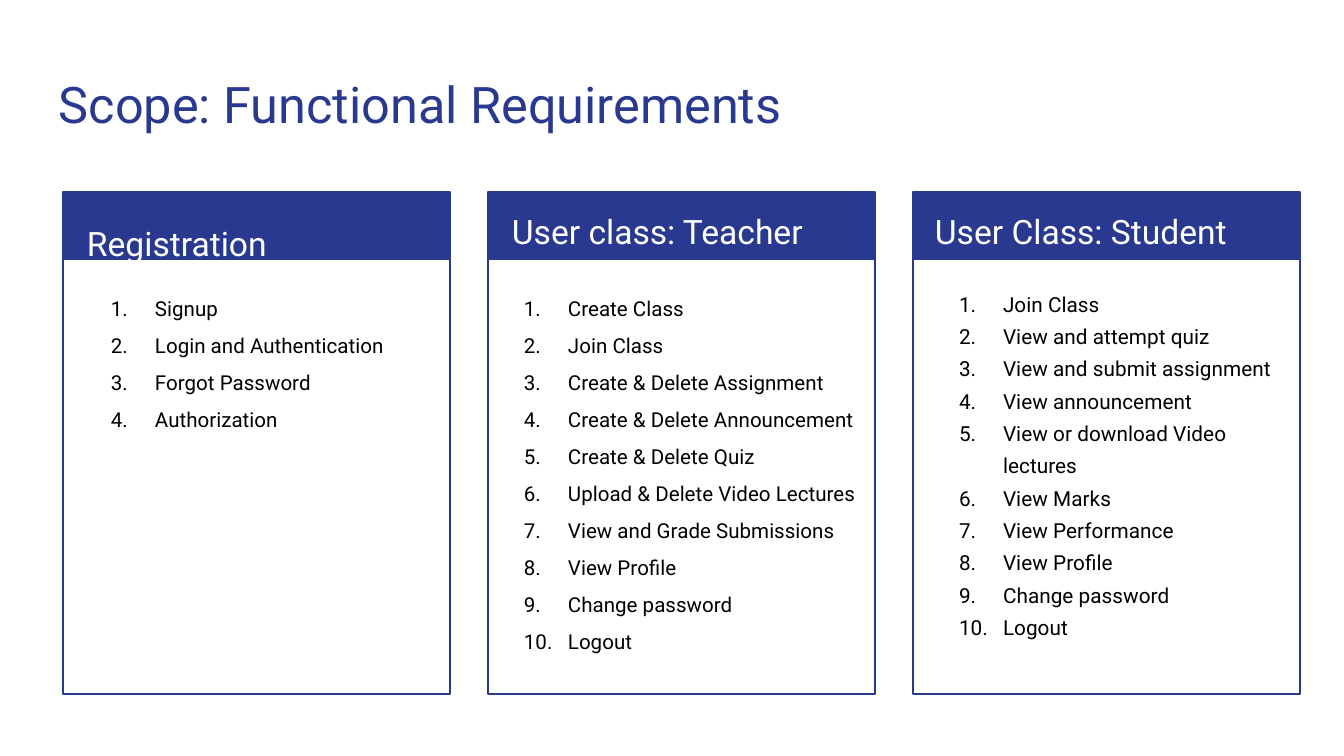
from lxml.etree import SubElement
from pptx import Presentation
from pptx.dml.color import RGBColor
from pptx.enum.shapes import MSO_SHAPE as Shape
from pptx.enum.text import MSO_ANCHOR as Anchor, PP_ALIGN as Align
from pptx.oxml.ns import qn
from pptx.util import Emu, Pt

EMU_PER_PX = 914400 / 134.4
FONT = "Roboto"
COLORS = {"navy": "2A3990", "white": "FFFFFF", "black": "000000"}

# Card grid
CARD_LEFT, CARD_TOP, CARD_PITCH = 63, 192, 425
CARD_WIDTH, CARD_HEIGHT, HEADER_HEIGHT = 387, 502, 68
HEADING_WIDTH, HEADING_HEIGHT = 367, 67
LIST_TOP = 271
INSET, LIST_INDENT, NUMBER_HANG = 13, 67, 44

CARDS = [
    {
        "heading": "Registration", "heading_left": 74,
        "heading_spacing": 1.44, "align": Align.JUSTIFY,
        "list_box": (75, LIST_TOP, 364, 411), "size": 11, "spacing": 1.5,
        "items": ["Signup", "Login and Authentication", "Forgot Password",
                  "Authorization"],
    },
    {
        "heading": "User class: Teacher", "heading_left": 499,
        "heading_spacing": 1.15, "align": Align.LEFT,
        "list_box": (488, LIST_TOP, 403, 434), "size": 11, "spacing": 1.5,
        "items": ["Create Class", "Join Class", "Create & Delete Assignment",
                  "Create & Delete Announcement", "Create & Delete Quiz",
                  "Upload & Delete Video Lectures",
                  "View and Grade Submissions", "View Profile",
                  "Change password", "Logout"],
    },
    {
        "heading": "User Class: Student", "heading_left": 922,
        "heading_spacing": 1.15, "align": Align.LEFT,
        "list_box": (923, LIST_TOP, 395, 411), "size": 11.1, "spacing": 1.3,
        "items": ["Join Class", "View and attempt quiz",
                  "View and submit assignment", "View announcement",
                  "View or download Video lectures", "View Marks",
                  "View Performance", "View Profile", "Change password",
                  "Logout"],
    },
]


def px(length):
    return Emu(round(length * EMU_PER_PX))


def color(name):
    return RGBColor.from_string(COLORS[name])


def add_rectangle(slide, box, fill=None, line=None):
    shape = slide.shapes.add_shape(Shape.RECTANGLE, *map(px, box))
    shape.shadow.inherit = False
    if fill:
        shape.fill.solid()
        shape.fill.fore_color.rgb = color(fill)
    else:
        shape.fill.background()
    if line:
        shape.line.color.rgb = color(line)
        shape.line.width = Pt(0.75)
    else:
        shape.line.fill.background()


def number_paragraph(paragraph):
    properties = paragraph._p.get_or_add_pPr()
    properties.set("marL", str(px(LIST_INDENT)))
    properties.set("indent", str(-px(NUMBER_HANG)))
    bullet_color = SubElement(properties, qn("a:buClr"))
    SubElement(bullet_color, qn("a:srgbClr"), val=COLORS["black"])
    SubElement(properties, qn("a:buFont"), typeface=FONT)
    SubElement(properties, qn("a:buAutoNum"), type="arabicPeriod")


def add_text(slide, box, lines, size, color_name, spacing=1.0,
             align=Align.LEFT, numbered=False):
    frame = slide.shapes.add_textbox(*map(px, box)).text_frame
    frame.word_wrap = True
    frame.vertical_anchor = Anchor.TOP
    frame.margin_left = frame.margin_right = px(INSET)
    frame.margin_top = frame.margin_bottom = px(INSET)
    for index, line in enumerate(lines):
        paragraph = frame.add_paragraph() if index else frame.paragraphs[0]
        paragraph.alignment = align
        paragraph.line_spacing = spacing
        if numbered:
            number_paragraph(paragraph)
        run = paragraph.add_run()
        run.text = line
        run.font.name = FONT
        run.font.size = Pt(size)
        run.font.color.rgb = color(color_name)


def add_card(slide, left, card):
    # Header bar and outline
    add_rectangle(slide, (left, CARD_TOP, CARD_WIDTH, HEADER_HEIGHT),
                  fill="navy")
    add_rectangle(slide, (left, CARD_TOP, CARD_WIDTH, CARD_HEIGHT),
                  line="navy")
    # Heading and numbered list
    heading_box = (card["heading_left"], CARD_TOP,
                   HEADING_WIDTH, HEADING_HEIGHT)
    add_text(slide, heading_box, [card["heading"]], 18, "white",
             card["heading_spacing"], card["align"])
    add_text(slide, card["list_box"], card["items"], card["size"], "black",
             card["spacing"], numbered=True)


def main():
    presentation = Presentation()
    presentation.slide_width = px(1344)
    presentation.slide_height = px(756)
    slide = presentation.slides.add_slide(presentation.slide_layouts[6])

    # Title
    add_text(slide, (46, 60, 1253, 89), ["Scope: Functional Requirements"],
             27, "navy")

    # Requirement cards
    for index, card in enumerate(CARDS):
        add_card(slide, CARD_LEFT + index * CARD_PITCH, card)

    presentation.save("out.pptx")


if __name__ == "__main__":
    main()
